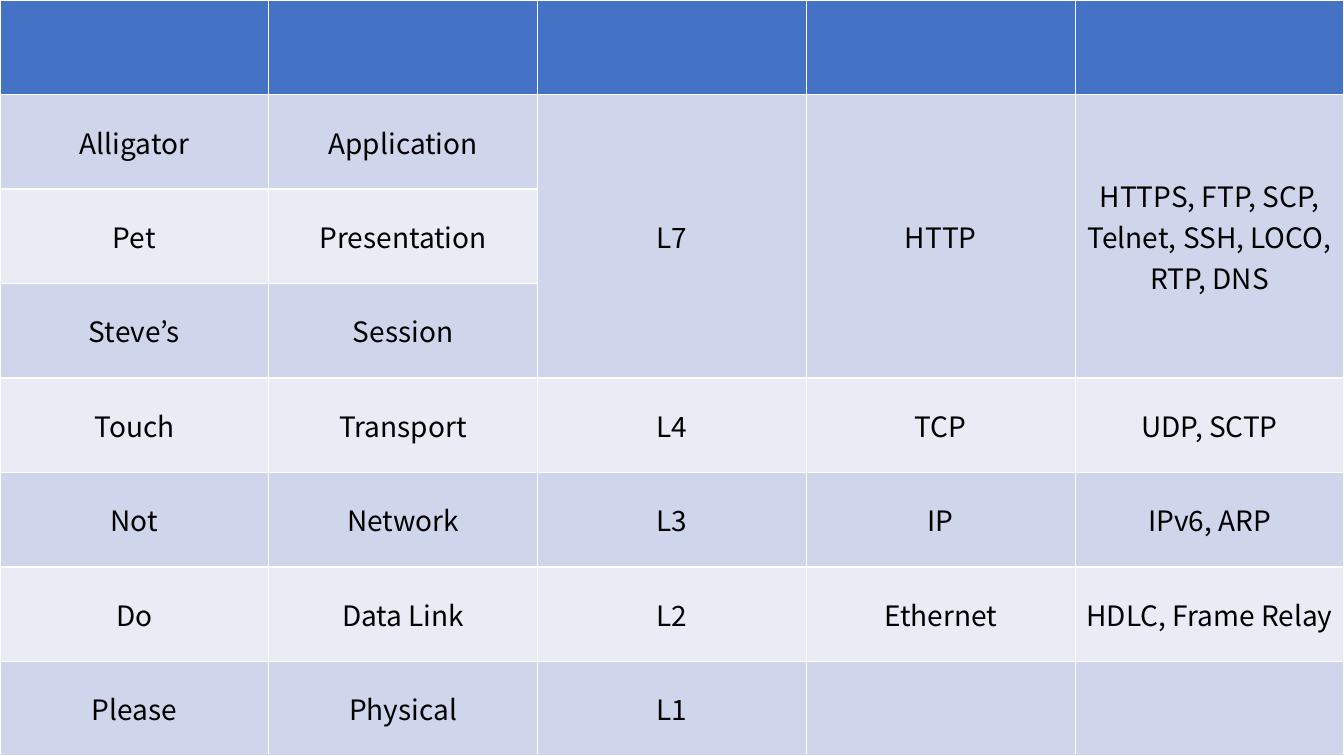
from dataclasses import dataclass

from pptx import Presentation
from pptx.dml.color import RGBColor
from pptx.enum.text import MSO_ANCHOR, PP_ALIGN
from pptx.table import Table, _Cell
from pptx.util import Pt

MIDDLE = MSO_ANCHOR.MIDDLE
CENTER = PP_ALIGN.CENTER

HEADER_BLUE = RGBColor(0x44, 0x72, 0xC4)
BAND_DARK = RGBColor(0xCF, 0xD5, 0xEA)
BAND_LIGHT = RGBColor(0xE9, 0xEB, 0xF5)
BLACK = RGBColor(0, 0, 0)

FONT_NAME = "Noto Sans CJK KR"
FONT_SIZE = Pt(20)
SLIDE_WIDTH = Pt(960)
SLIDE_HEIGHT = Pt(540)
COLUMN_COUNT = 5
BLANK_LAYOUT = 6


@dataclass(frozen=True)
class Layer:
    mnemonic: str
    name: str
    level: str = ""
    protocol: str = ""
    others: str = ""

    def texts(self) -> list[str]:
        return [self.mnemonic, self.name, self.level, self.protocol, self.others]


LAYERS = [
    Layer("Alligator", "Application", "L7", "HTTP",
          "HTTPS, FTP, SCP, Telnet, SSH, LOCO, RTP, DNS"),
    Layer("Pet", "Presentation"),
    Layer("Steve’s", "Session"),
    Layer("Touch", "Transport", "L4", "TCP", "UDP, SCTP"),
    Layer("Not", "Network", "L3", "IP", "IPv6, ARP"),
    Layer("Do", "Data Link", "L2", "Ethernet", "HDLC, Frame Relay"),
    Layer("Please", "Physical", "L1"),
]


def fill_cell(cell: _Cell, color: RGBColor) -> None:
    cell.fill.solid()
    cell.fill.fore_color.rgb = color


def write_cell(cell: _Cell, text: str) -> None:
    cell.vertical_anchor = MIDDLE
    paragraph = cell.text_frame.paragraphs[0]
    paragraph.text = text
    paragraph.alignment = CENTER
    paragraph.font.name = FONT_NAME
    paragraph.font.size = FONT_SIZE
    paragraph.font.color.rgb = BLACK


def fill_table(table: Table) -> None:
    for cell in table.rows[0].cells:
        fill_cell(cell, HEADER_BLUE)
    for row, layer in enumerate(LAYERS, start=1):
        band = BAND_DARK if row % 2 else BAND_LIGHT
        for column, text in enumerate(layer.texts()):
            cell = table.cell(row, column)
            fill_cell(cell, band)
            if text:
                write_cell(cell, text)


def merge_upper_layers(table: Table) -> None:
    """Join the level and protocol cells of the three application layers."""
    for column in range(2, COLUMN_COUNT):
        table.cell(1, column).merge(table.cell(3, column))


def main() -> None:
    presentation = Presentation()
    presentation.slide_width = SLIDE_WIDTH
    presentation.slide_height = SLIDE_HEIGHT
    slide = presentation.slides.add_slide(presentation.slide_layouts[BLANK_LAYOUT])
    # The default table style draws the white grid and the thick header rule.
    table = slide.shapes.add_table(
        len(LAYERS) + 1, COLUMN_COUNT, Pt(0), Pt(0), SLIDE_WIDTH, SLIDE_HEIGHT
    ).table
    fill_table(table)
    merge_upper_layers(table)
    presentation.save("out.pptx")


if __name__ == "__main__":
    main()
